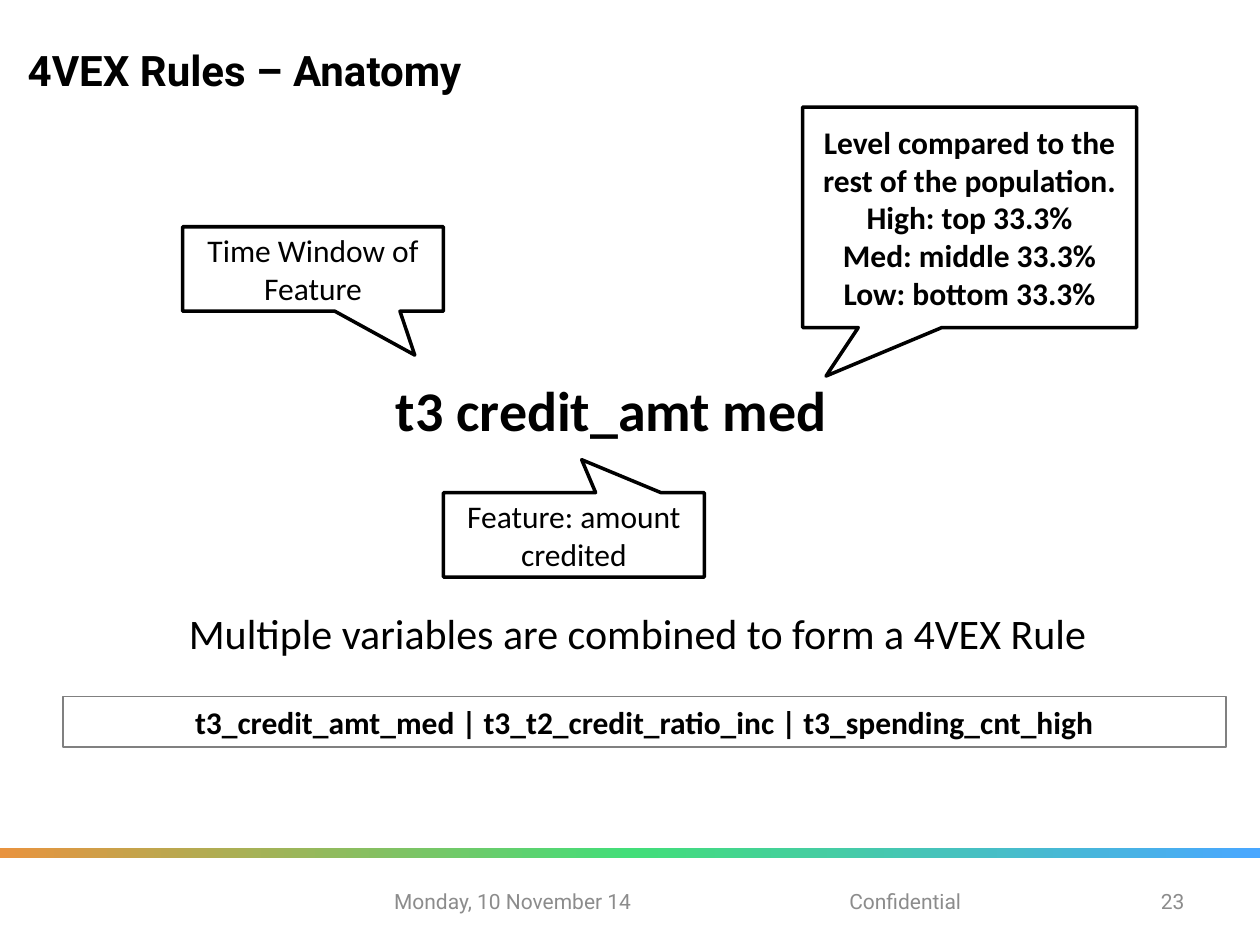
"""Build the slide that explains the anatomy of a rule."""
import copy
import dataclasses

import pptx
import pptx.dml.color
import pptx.enum.shapes
import pptx.enum.text
import pptx.oxml.ns
import pptx.util

Inches = pptx.util.Inches
Align = pptx.enum.text.PP_ALIGN
Anchor = pptx.enum.text.MSO_ANCHOR
Shape = pptx.enum.shapes.MSO_SHAPE


@dataclasses.dataclass(frozen=True)
class Theme:
    ink: str = "000000"
    paper: str = "FFFFFF"
    border: str = "808080"
    muted: str = "8C8C8C"
    bar: tuple = ("E8933F", "43DE79", "49A7FF")
    heading: str = "Roboto"
    body: str = "Calibri"
    rule_size: int = 32
    title_size: int = 24
    label_size: int = 18
    footer_size: int = 12


THEME = Theme()


def rgb(value):
    return pptx.dml.color.RGBColor.from_string(value)


def write(box, lines, size=THEME.label_size, font=THEME.body, color=THEME.ink,
          bold=False, align=Align.CENTER, anchor=Anchor.MIDDLE, wrap=True):
    frame = box.text_frame
    frame.word_wrap = wrap
    frame.vertical_anchor = anchor
    frame.auto_size = pptx.enum.text.MSO_AUTO_SIZE.NONE
    style = {"size": pptx.util.Pt(size), "name": font, "bold": bold}
    for index, line in enumerate(lines):
        para = frame.add_paragraph() if index else frame.paragraphs[0]
        para.alignment = align
        span = para.add_run()
        span.text = line
        for name, value in style.items():
            setattr(span.font, name, value)
        span.font.color.rgb = rgb(color)


def add_text(page, place, line, **style):
    write(page.shapes.add_textbox(*map(Inches, place)), [line], **style)


def add_box(page, kind, place, fill=None, line=None, width=0):
    box = page.shapes.add_shape(kind, *map(Inches, place))
    box.shadow.inherit = False
    if fill:
        box.fill.solid()
        box.fill.fore_color.rgb = rgb(fill)
    else:
        box.fill.background()
    if line:
        box.line.color.rgb = rgb(line)
        box.line.width = pptx.util.Pt(width)
    else:
        box.line.fill.background()
    return box


def add_callout(page, place, pointer, lines, bold=False):
    box = add_box(page, Shape.RECTANGULAR_CALLOUT, place, THEME.paper, THEME.ink, 2)
    for index, value in enumerate(pointer):
        box.adjustments[index] = value
    write(box, lines, bold=bold)


def add_gradient_bar(page, place):
    bar = add_box(page, Shape.RECTANGLE, place)
    bar.fill.gradient()
    bar.fill.gradient_angle = 0
    stops = bar._element.spPr.find(".//" + pptx.oxml.ns.qn("a:gsLst"))
    stops.insert(1, copy.deepcopy(stops[0]))
    for index, (stop, color) in enumerate(zip(bar.fill.gradient_stops, THEME.bar)):
        stop.color.rgb = rgb(color)
        stop.position = index / 2


def add_title(page, place, line):
    title = page.shapes.title
    for name, value in zip(("left", "top", "width", "height"), place):
        setattr(title, name, Inches(value))
    write(title, [line], size=THEME.title_size, font=THEME.heading, bold=True,
          align=Align.LEFT)


def add_footer(page):
    items = (
        (3.03, 2.33, "Monday, 10 November 14", Align.LEFT),
        (5.6, 3.17, "Confidential", Align.CENTER),
        (9, 0.5, "23", Align.RIGHT),
    )
    for left, width, line, align in items:
        add_text(page, (left, 6.95, width, 0.4), line, size=THEME.footer_size,
                 font=THEME.heading, color=THEME.muted, align=align)


def main():
    deck = pptx.Presentation()
    deck.slide_width, deck.slide_height = Inches(10), Inches(7.5)
    page = deck.slides.add_slide(deck.slide_layouts.get_by_name("Title Only"))

    add_gradient_bar(page, (0, 6.73, 10, 0.08))
    add_title(page, (0.12, 0.3, 9.61, 0.5), "4VEX Rules – Anatomy")
    add_text(page, (0.24, 2.93, 9.23, 0.64), "t3 credit_amt med",
             size=THEME.rule_size, bold=True, anchor=Anchor.TOP)
    example = add_box(page, Shape.RECTANGLE, (0.5, 5.53, 9.23, 0.4),
                      line=THEME.border, width=0.75)
    write(example,
          ["t3_credit_amt_med | t3_t2_credit_ratio_inc | t3_spending_cnt_high"],
          bold=True, anchor=Anchor.TOP)

    add_callout(page, (1.45, 1.8, 2.07, 0.67), (0.39, 1.02),
                ["Time Window of Feature"])
    add_callout(page, (3.52, 3.91, 2.07, 0.67), (0.03, -0.89),
                ["Feature: amount credited"])
    add_callout(page, (6.37, 0.85, 2.65, 1.75), (-0.43, 0.72),
                ["Level compared to the rest of the population.",
                 "High: top 33.3%", "Med: middle 33.3%", "Low: bottom 33.3%"],
                bold=True)

    add_text(page, (1.32, 4.77, 7.48, 0.5),
             "Multiple variables are combined to form a 4VEX Rule",
             size=THEME.title_size, anchor=Anchor.TOP, wrap=False)
    add_footer(page)
    deck.save("out.pptx")


if __name__ == "__main__":
    main()
